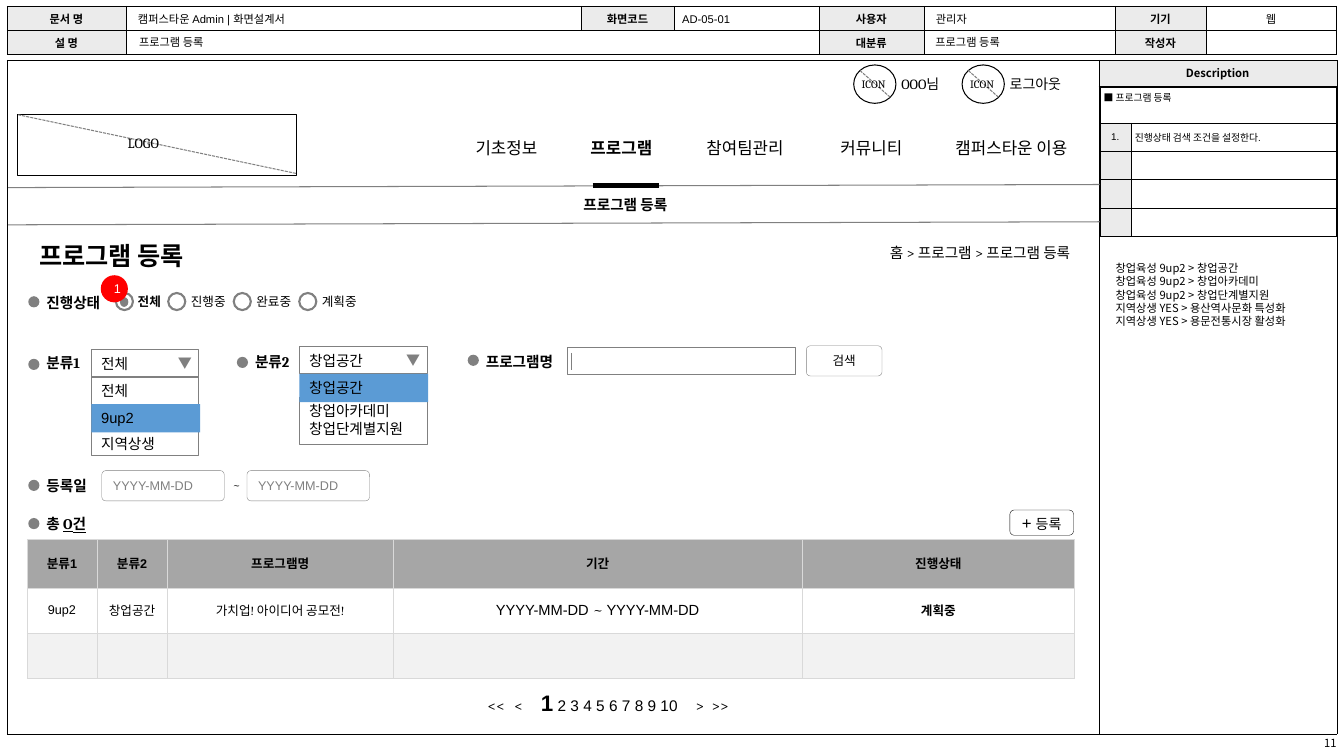
from lxml import etree
from pptx import Presentation
from pptx.dml.color import RGBColor
from pptx.enum.dml import MSO_LINE
from pptx.enum.shapes import MSO_CONNECTOR, MSO_SHAPE
from pptx.enum.text import MSO_ANCHOR, MSO_AUTO_SIZE, PP_ALIGN
from pptx.oxml.ns import qn
from pptx.util import Pt

LEFT, CENTER, RIGHT = PP_ALIGN.LEFT, PP_ALIGN.CENTER, PP_ALIGN.RIGHT
TOP, MIDDLE = MSO_ANCHOR.TOP, MSO_ANCHOR.MIDDLE
RECT, ROUNDED = MSO_SHAPE.RECTANGLE, MSO_SHAPE.ROUNDED_RECTANGLE
OVAL, DOT = MSO_SHAPE.OVAL, MSO_SHAPE.FLOWCHART_CONNECTOR
STRAIGHT, DASHED = MSO_CONNECTOR.STRAIGHT, MSO_LINE.SQUARE_DOT
NO_FIT = MSO_AUTO_SIZE.NONE
ARIAL, CAMBRIA, NOTO = "Arial", "Cambria", "Noto Sans CJK KR"
COLORS = {"black": "000000", "white": "FFFFFF", "gray": "808080", "label": "EBEBEB",
          "head": "A6A6A6", "band": "F2F2F2", "rule": "D9D9D9", "blue": "5B9BD5", "red": "FF0000"}
INSETS = (7.2, 3.6, 7.2, 3.6)
NARROW = (2.9, 2.9, 2.9, 2.9)
THIN = (0.7, 0.7, 0.7, 0.7)


class Wireframe:
    def __init__(self, deck):
        self.page = deck.slides.add_slide(deck.slide_layouts[5])
        self.shapes = self.page.shapes

    def color(self, name):
        return RGBColor.from_string(COLORS[name])

    def style(self, span, size, font=CAMBRIA, color="black", bold=False, underline=False):
        span.font.size = Pt(size)
        span.font.name = font
        span.font.bold = bold
        span.font.underline = underline
        span.font.color.rgb = self.color(color)

    def put_text(self, holder, text, size, align=LEFT, anchor=TOP, insets=INSETS, **look):
        frame = holder if hasattr(holder, "paragraphs") else holder.text_frame
        frame.text = text
        holder.vertical_anchor = anchor
        sides = ("margin_left", "margin_top", "margin_right", "margin_bottom")
        for side, inset in zip(sides, insets):
            setattr(holder, side, Pt(inset))
        for para in frame.paragraphs:
            para.alignment = align
            for span in para.runs:
                self.style(span, size, **look)

    def add_span(self, para, text, size, **look):
        span = para.add_run()
        span.text = text
        self.style(span, size, **look)

    def text(self, left, top, width, height, text, size, wrap=True, **look):
        box = self.shapes.add_textbox(Pt(left), Pt(top), Pt(width), Pt(height))
        box.text_frame.word_wrap = wrap
        self.put_text(box.text_frame, text, size, **look)
        return box.text_frame

    def shape(self, kind, left, top, width, height, fill=None, line=None, weight=0.75,
              text="", size=9, **look):
        box = self.shapes.add_shape(kind, Pt(left), Pt(top), Pt(width), Pt(height))
        box.shadow.inherit = False
        if fill:
            box.fill.solid()
            box.fill.fore_color.rgb = self.color(fill)
        else:
            box.fill.background()
        if line:
            box.line.color.rgb = self.color(line)
            box.line.width = Pt(weight)
        else:
            box.line.fill.background()
        if text:
            box.text_frame.word_wrap = True
            self.put_text(box.text_frame, text, size, **look)
        return box

    def line(self, x1, y1, x2, y2, color="gray", weight=0.75, dash=None):
        rule = self.shapes.add_connector(STRAIGHT, Pt(x1), Pt(y1), Pt(x2), Pt(y2))
        rule.line.color.rgb = self.color(color)
        rule.line.width = Pt(weight)
        if dash:
            rule.line.dash_style = dash
        etree.SubElement(rule._element.spPr, qn("a:effectLst"))

    def table(self, left, top, widths, heights):
        frame = self.shapes.add_table(len(heights), len(widths), Pt(left), Pt(top),
                                      Pt(sum(widths)), Pt(sum(heights)))
        grid = frame.table
        grid.first_row = grid.horz_banding = False
        for column, width in zip(grid.columns, widths):
            column.width = Pt(width)
        for row, height in zip(grid.rows, heights):
            row.height = Pt(height)
        return grid

    def cell(self, cell, text="", size=8, fill="white", border="black", anchor=MIDDLE, **look):
        self.put_text(cell, text, size, anchor=anchor, **look)
        if not text:
            end = etree.SubElement(cell.text_frame.paragraphs[0]._p, qn("a:endParaRPr"))
            end.set("sz", str(int(size * 100)))
        cell.fill.solid()
        cell.fill.fore_color.rgb = self.color(fill)
        properties = cell._tc.get_or_add_tcPr()
        for index, side in enumerate("LRTB"):
            edge = etree.Element(qn("a:ln" + side), w=str(int(Pt(0.25))))
            solid = etree.SubElement(edge, qn("a:solidFill"))
            etree.SubElement(solid, qn("a:srgbClr"), val=COLORS[border])
            properties.insert(index, edge)

    def label(self, left, top, width, text, drop=5.7):
        self.shape(DOT, left, top + drop, 8, 8, fill="gray")
        return self.text(left + 5.9, top, width, 20, text, 10.5, bold=True)

    def dropdown(self, left, top, width, value, list_top, list_height, items, picked_top, picked):
        self.shape(RECT, left, top, width, 19.4, line="gray", text=value, size=10.5, anchor=MIDDLE)
        self.text(left + width - 21, top + 3.6, 20.2, 12.2, "▼", 10, font=NOTO, color="gray",
                  anchor=MIDDLE, insets=(5.8, 0, 0, 0))
        options = self.shape(RECT, left, list_top, width, list_height, line="gray",
                             text=items, size=10.5, font=ARIAL)
        self.shape(RECT, left, picked_top, width + 0.7, 20.2, fill="blue",
                   text=picked, size=10.5, font=ARIAL)
        return options.text_frame

    def icon(self, left, top, text):
        self.shape(OVAL, left, top, 30.2, 27.4, line="black")
        self.line(left + 4.5, top + 4, left + 26, top + 23, dash=DASHED)
        self.text(left - 1.4, top + 5.4, 33.8, 17.3, "ICON", 8)
        self.text(left + 27, top + 4, 54.7, 19.4, text, 10)

    def title(self, left, top, width, height, text, size):
        heading = self.shapes.title
        self.shapes._spTree.append(heading._element)
        heading.left, heading.top = Pt(left), Pt(top)
        heading.width, heading.height = Pt(width), Pt(height)
        self.put_text(heading.text_frame, text, size, bold=True)
        heading.text_frame.auto_size = NO_FIT


def main():
    deck = Presentation()
    deck.slide_width, deck.slide_height = Pt(960), Pt(540)
    page = Wireframe(deck)
    page.text(784.8, 522.7, 169.9, 17.3, "11", 8, font=NOTO, align=RIGHT, insets=(7.2, 3.6, 0, 3.6))

    header = page.table(5, 4.3, [85, 325, 66.5, 103.5, 75, 136.5, 65, 93], [17.3, 17.3])
    header_rows = [["문서 명", "캠퍼스타운 Admin | 화면설계서", "화면코드", "", "사용자", "관리자", "기기", "웹"],
                   ["설 명", "", "", "", "대분류", "", "작성자", ""]]
    header.cell(1, 1).merge(header.cell(1, 3))
    for row, texts in enumerate(header_rows):
        for column, text in enumerate(texts):
            cell = header.cell(row, column)
            if column % 2 == 0 and not cell.is_spanned:
                page.cell(cell, text, fill="label", font=NOTO, bold=True, align=CENTER, insets=NARROW)
            elif column == 7:
                page.cell(cell, text, font=ARIAL, align=CENTER, insets=THIN)
            else:
                page.cell(cell, text, font=ARIAL, insets=(8.6, 0.7, 0.7, 0.7))

    body = page.table(5, 42.8, [779.8, 170], [18.7, 463])
    body.cell(0, 0).merge(body.cell(1, 0))
    for row in range(2):
        page.cell(body.cell(row, 0))
    page.cell(body.cell(0, 1), "Description", fill="label", font=NOTO, bold=True,
              align=CENTER, insets=NARROW)
    page.cell(body.cell(1, 1))

    notes = page.table(785.5, 61.9, [22.3, 146.9], [26] + [20.2] * 4)
    notes.cell(0, 0).merge(notes.cell(0, 1))
    page.cell(notes.cell(0, 0), "■ 프로그램 등록", 7, anchor=TOP, font=ARIAL, insets=(2.9, 2.9, 0.7, 0.7))
    page.cell(notes.cell(0, 1), size=7)
    for row, text in enumerate(["진행상태 검색 조건을 설정한다.", "", "", ""], 1):
        page.cell(notes.cell(row, 0), "1." if text else "", 7, "label", font=ARIAL,
                  align=CENTER, insets=THIN)
        page.cell(notes.cell(row, 1), text, 7, font=ARIAL, insets=(2.9, 0.7, 2.9, 0.7))
    page.text(480.2, 5, 103, 16.6, "AD-05-01", 8, font=ARIAL)
    for left in (92.2, 661):
        page.text(left, 21.6, 66.2, 17.3, "프로그램 등록", 8, font=ARIAL)

    programs = page.table(19.4, 385.2, [49.7, 50.4, 161.3, 292.3, 194.4], [34.6, 32.4, 32.4])
    program_rows = [("head", ["분류1", "분류2", "프로그램명", "기간", "진행상태"]),
                    ("white", ["9up2", "창업공간", "가치업! 아이디어 공모전!", "YYYY-MM-DD ", "계획중"]),
                    ("band", [""] * 5)]
    for row, (fill, texts) in enumerate(program_rows):
        for column, text in enumerate(texts):
            period = row == 1 and column == 3
            page.cell(programs.cell(row, column), text, 10.5 if period else 9, fill, "rule",
                      font=ARIAL if column < 2 or period else CAMBRIA,
                      bold=row == 0 or column == 4, align=CENTER)
    period_para = programs.cell(1, 3).text_frame.paragraphs[0]
    page.add_span(period_para, "~ ", 10.5)
    page.add_span(period_para, "YYYY-MM-DD", 10.5, font=ARIAL)

    page.label(20.2, 337, 51.8, "등록일")
    for left in (72.7, 176.4):
        field = page.shape(ROUNDED, left, 336.2, 87.5, 21.6, "white", "gray", 0.25, "YYYY-MM-DD",
                           font=ARIAL, color="gray", anchor=MIDDLE)
        field.adjustments[0] = 0.13
    page.text(159.1, 338.4, 20.9, 17.3, "~", 8)
    total = page.label(20.2, 364.3, 56.9, "총 ")
    page.add_span(total.paragraphs[0], "O건", 10.5, bold=True, underline=True)

    states = [(82.8, 32.4, "전체"), (120.2, 41.8, "진행중"), (167, 41.8, "완료중"), (213.8, 41.8, "계획중")]
    for left, width, state in states:
        page.shape(DOT, left, 209.3, 12.2, 12.2, line="gray", weight=1.5)
        page.text(left + 7.6, 206.6, width, 18, state, 9, wrap=False, font=ARIAL,
                  bold=state == "전체", align=CENTER)
    page.shape(DOT, 85.7, 212.2, 6, 7, fill="gray")
    page.label(20.2, 206.6, 58.3, "진행상태", 5)

    page.label(20.2, 249.1, 58.3, "분류1", 7.2)
    options = page.dropdown(65.2, 249.8, 77, "전체", 269.3, 56.2, "전체\n지역상생", 288.7, "9up2")
    options.paragraphs[1].space_before = Pt(25)
    page.label(169.2, 248.4, 50.4, "분류2", 6.5)
    page.dropdown(213.8, 247.7, 91.4, "창업공간", 283.7, 33.8, "창업아카데미\n창업단계별지원", 267.1, "창업공간")
    page.label(334.1, 248.4, 67.7, "프로그램명", 5)
    page.shape(RECT, 405.4, 248.4, 162.7, 19.4, line="gray")
    page.line(408.2, 252, 408.2, 264.2)
    search = page.shape(ROUNDED, 576, 247, 54, 21.6, "white", "gray", 0.25, "검색", font=ARIAL,
                        align=CENTER, anchor=MIDDLE)
    search.adjustments[0] = 0.13

    page.text(789.8, 182.9, 151.2, 65.5,
              "창업육성 9up2 > 창업공간\v창업육성 9up2 > 창업아카데미\n창업육성 9up2 > 창업단계별지원\v"
              "지역상생 YES > 용산역사문화 특성화\v지역상생 YES > 용문전통시장 활성화", 8, font=NOTO)

    pager = page.text(325.4, 488.9, 219.6, 26.6, "<<\t<\t", 11, insets=(23, 3.6, 7.2, 3.6))
    numbers = pager.paragraphs[0]
    tabs = etree.SubElement(numbers._p.get_or_add_pPr(), qn("a:tabLst"))
    for stop in (19, 38, 148.5, 160):
        etree.SubElement(tabs, qn("a:tab"), pos=str(int(Pt(stop))), algn="l")
    page.add_span(numbers, "1", 16, font=ARIAL, bold=True)
    page.add_span(numbers, " 2 3 4 5 6 7 8 9 10", 11, font=ARIAL)
    page.add_span(numbers, "\t>\t>>", 11)

    register = page.shape(ROUNDED, 721.4, 364.3, 45.4, 18, line="black", weight=0.25, text="+",
                          size=12, font=ARIAL, align=CENTER, anchor=MIDDLE, insets=NARROW)
    page.add_span(register.text_frame.paragraphs[0], " 등록", 10, font=ARIAL)
    page.title(20.9, 167.8, 131, 28.8, "프로그램 등록", 18)

    page.icon(609.8, 46.4, "OOO님")
    page.icon(687.2, 46.4, "로그아웃")
    page.shape(RECT, 12.6, 81.7, 199.4, 43.9, line="black")
    page.line(13, 82, 212, 124, dash=DASHED)
    page.text(84.2, 92.2, 45.4, 19.4, "LOGO", 10)

    for top in (131.8, 158.4):
        page.line(5.8, top + 2.2, 785.5, top)
    page.line(423.4, 132.5, 470.9, 132.5, "black", 3)
    page.text(409.7, 136.1, 80.6, 20.2, "프로그램 등록", 10.5, bold=True)
    page.text(628.6, 170.6, 159.1, 20.2, "홈 > 프로그램 > 프로그램 등록", 10.5, insets=(7.2, 3.6, 16, 3.6))
    menu = [(332.6, 67.7, "기초정보"), (414.7, 67.7, "프로그램"), (497.5, 80.6, "참여팀관리"),
            (593.3, 67.7, "커뮤니티"), (675.4, 102.2, "캠퍼스타운 이용")]
    for left, width, item in menu:
        page.text(left, 95, width, 21.6, item, 12, bold=item == "프로그램")
    page.shape(OVAL, 72, 196.6, 19.4, 19.4, fill="red", text="1", font=ARIAL, color="white",
               align=CENTER, anchor=MIDDLE)
    deck.save("out.pptx")


if __name__ == "__main__":
    main()
